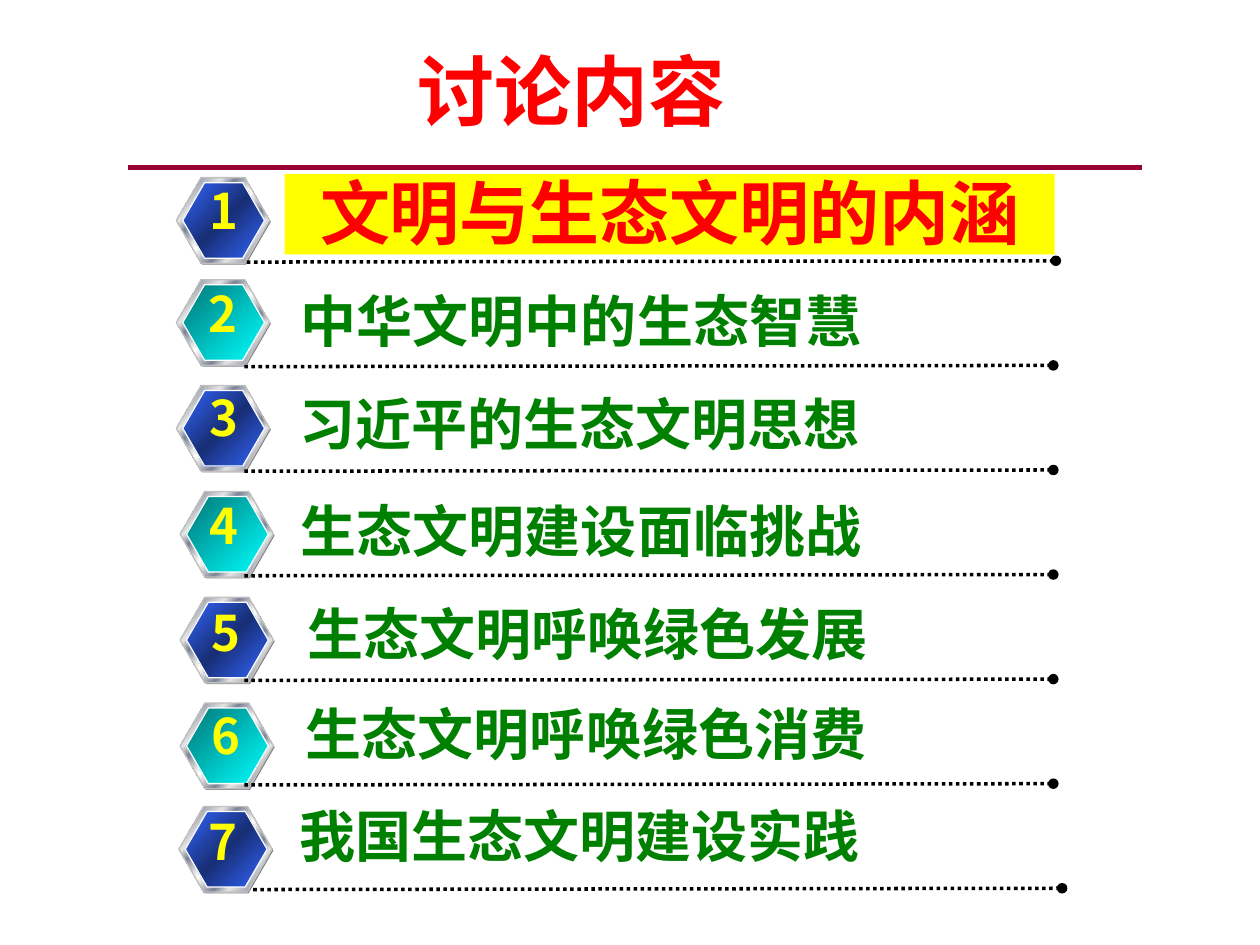
from dataclasses import dataclass

import pptx
import pptx.dml.color
import pptx.enum.dml
import pptx.enum.shapes
import pptx.enum.text
import pptx.oxml.ns
import pptx.util
from lxml import etree

Inches = pptx.util.Inches
Pt = pptx.util.Pt
RGBColor = pptx.dml.color.RGBColor
MSO_SHAPE = pptx.enum.shapes.MSO_SHAPE
ALIGN = pptx.enum.text.PP_ALIGN
qn = pptx.oxml.ns.qn

FONT = "Noto Sans CJK SC"
RED = RGBColor(0xFF, 0x00, 0x00)
GREEN = RGBColor(0x00, 0x80, 0x00)
YELLOW = RGBColor(0xFF, 0xFF, 0x00)
BLACK = RGBColor(0x00, 0x00, 0x00)
WHITE = RGBColor(0xFF, 0xFF, 0xFF)
GRAY = RGBColor(0x80, 0x80, 0x80)
SILVER = RGBColor(0xC0, 0xC0, 0xC0)
LIGHT = RGBColor(0xE6, 0xE6, 0xE6)
STEEL = RGBColor(0x7D, 0x84, 0x96)
MAROON = RGBColor(0x99, 0x00, 0x33)
BLUE = RGBColor(0x33, 0x66, 0xFF)
NAVY = RGBColor(0x18, 0x2F, 0x76)
TEAL = RGBColor(0x00, 0x76, 0x76)
CYAN = RGBColor(0x00, 0xFF, 0xFF)

Stops = list[tuple[int, RGBColor]]
METAL: Stops = [
    (0, LIGHT), (8, STEEL), (26, LIGHT), (34, STEEL), (46, LIGHT), (50, WHITE),
    (54, LIGHT), (66, STEEL), (74, LIGHT), (92, STEEL), (100, LIGHT),
]
BLUE_FACE: Stops = [(0, BLUE), (50, NAVY), (100, BLUE)]
TEAL_FACE: Stops = [(0, TEAL), (100, CYAN)]
LINE_SPACING = 0.88


@dataclass
class Topic:
    wording: str
    left: float
    top: float
    width: float
    badge_left: float
    badge_top: float
    digit_left: float
    digit_top: float
    rule_left: float = 1.94


TOPICS = [
    Topic("文明与生态文明的内涵", 2.26, 1.38, 6.11, 1.40, 1.41, 1.58, 1.44, 1.96),
    Topic("中华文明中的生态智慧", 2.29, 2.29, 5.10, 1.40, 2.22, 1.57, 2.26),
    Topic("习近平的生态文明思想", 2.28, 3.11, 5.10, 1.40, 3.06, 1.58, 3.09),
    Topic("生态文明建设面临挑战", 2.29, 3.96, 6.46, 1.43, 3.90, 1.58, 3.94),
    Topic("生态文明呼唤绿色发展", 2.34, 4.78, 5.04, 1.43, 4.74, 1.59, 4.79),
    Topic("生态文明呼唤绿色消费", 2.33, 5.57, 5.06, 1.43, 5.58, 1.59, 5.61),
    Topic("我国生态文明建设实践", 2.28, 6.38, 5.09, 1.42, 6.40, 1.57, 6.45, 2.01),
]
FIRST_RULE, RULE_PITCH, RULE_WIDTH = 2.07, 0.83, 6.42


def write(shape, wording: str, size: int, color: RGBColor, align=ALIGN.LEFT, wrap: bool = True) -> None:
    frame = shape.text_frame
    frame.text = wording
    frame.word_wrap = wrap
    frame.auto_size = pptx.enum.text.MSO_AUTO_SIZE.NONE
    frame.vertical_anchor = pptx.enum.text.MSO_ANCHOR.TOP
    paragraph = frame.paragraphs[0]
    paragraph.alignment = align
    paragraph.line_spacing = LINE_SPACING
    for run in paragraph.runs:
        run.font.name = FONT
        run.font.size = Pt(size)
        run.font.bold = True
        run.font.color.rgb = color
        etree.SubElement(run.font._element, qn("a:ea"), typeface=FONT)


def add_text(slide, left: float, top: float, width: float, height: float):
    return slide.shapes.add_textbox(Inches(left), Inches(top), Inches(width), Inches(height))


def add_line(slide, start: tuple[float, float], end: tuple[float, float], color: RGBColor, weight: float):
    line = slide.shapes.add_connector(
        pptx.enum.shapes.MSO_CONNECTOR.STRAIGHT, *map(Inches, start + end)
    )
    line.line.color.rgb = color
    line.line.width = Pt(weight)
    etree.SubElement(line._element.spPr, qn("a:effectLst"))
    return line


def add_dotted_rule(slide, left: float, top: float) -> None:
    rule = add_line(slide, (left, top + 0.01), (left + RULE_WIDTH, top), BLACK, 2)
    rule.line.dash_style = pptx.enum.dml.MSO_LINE.ROUND_DOT
    etree.SubElement(rule.line._get_or_add_ln(), qn("a:tailEnd"), type="oval")


def fill_gradient(shape, stops: Stops) -> None:
    shape.fill.gradient()
    shape.fill.gradient_angle = 315
    stop_list = shape._element.spPr.find(qn("a:gradFill")).find(qn("a:gsLst"))
    for stop in list(stop_list):
        stop_list.remove(stop)
    for position, color in stops:
        stop = etree.SubElement(stop_list, qn("a:gs"), pos=str(position * 1000))
        etree.SubElement(stop, qn("a:srgbClr"), val=str(color))


def add_hexagon(group, left: float, top: float, width: float, height: float):
    hexagon = group.shapes.add_shape(
        MSO_SHAPE.HEXAGON, Inches(left), Inches(top), Inches(width), Inches(height)
    )
    hexagon.adjustments[0] = 0.289
    hexagon.shadow.inherit = False
    return hexagon


def add_badge(slide, left: float, top: float, face_stops: Stops) -> None:
    group = slide.shapes.add_group_shape()
    shade = add_hexagon(group, left + 0.01, top + 0.01, 0.74, 0.68)
    shade.fill.solid()
    shade.fill.fore_color.rgb = GRAY
    shade.line.fill.background()
    rim = add_hexagon(group, left, top, 0.74, 0.68)
    face = add_hexagon(group, left + 0.05, top + 0.04, 0.65, 0.6)
    for layer, stops, outline in ((rim, METAL, SILVER), (face, face_stops, WHITE)):
        fill_gradient(layer, stops)
        layer.line.color.rgb = outline
        layer.line.width = Pt(0.75)


def add_topic(slide, number: int, topic: Topic) -> None:
    if number == 1:
        highlight = slide.shapes.add_shape(
            MSO_SHAPE.RECTANGLE, Inches(topic.left), Inches(topic.top), Inches(topic.width), Inches(0.64)
        )
        highlight.shadow.inherit = False
        highlight.fill.solid()
        highlight.fill.fore_color.rgb = YELLOW
        highlight.line.fill.background()
        write(highlight, topic.wording, 40, RED, ALIGN.CENTER)
    else:
        write(add_text(slide, topic.left, topic.top, topic.width, 0.64), topic.wording, 32, GREEN)
    add_badge(slide, topic.badge_left, topic.badge_top, BLUE_FACE if number % 2 else TEAL_FACE)
    digit = add_text(slide, topic.digit_left, topic.digit_top, 0.4, 0.57)
    write(digit, str(number), 28, YELLOW, ALIGN.CENTER, wrap=False)
    add_dotted_rule(slide, topic.rule_left, FIRST_RULE + (number - 1) * RULE_PITCH)


def main() -> None:
    deck = pptx.Presentation()
    deck.slide_width = Inches(10)
    deck.slide_height = Inches(7.5)
    slide = deck.slides.add_slide(deck.slide_layouts[6])
    add_line(slide, (1.02, 1.33), (9.06, 1.33), MAROON, 3)
    write(add_text(slide, 0.11, 0.39, 9, 1.25), "讨论内容 ", 44, RED, ALIGN.CENTER)
    for number, topic in enumerate(TOPICS, 1):
        add_topic(slide, number, topic)
    deck.save("out.pptx")


if __name__ == "__main__":
    main()
